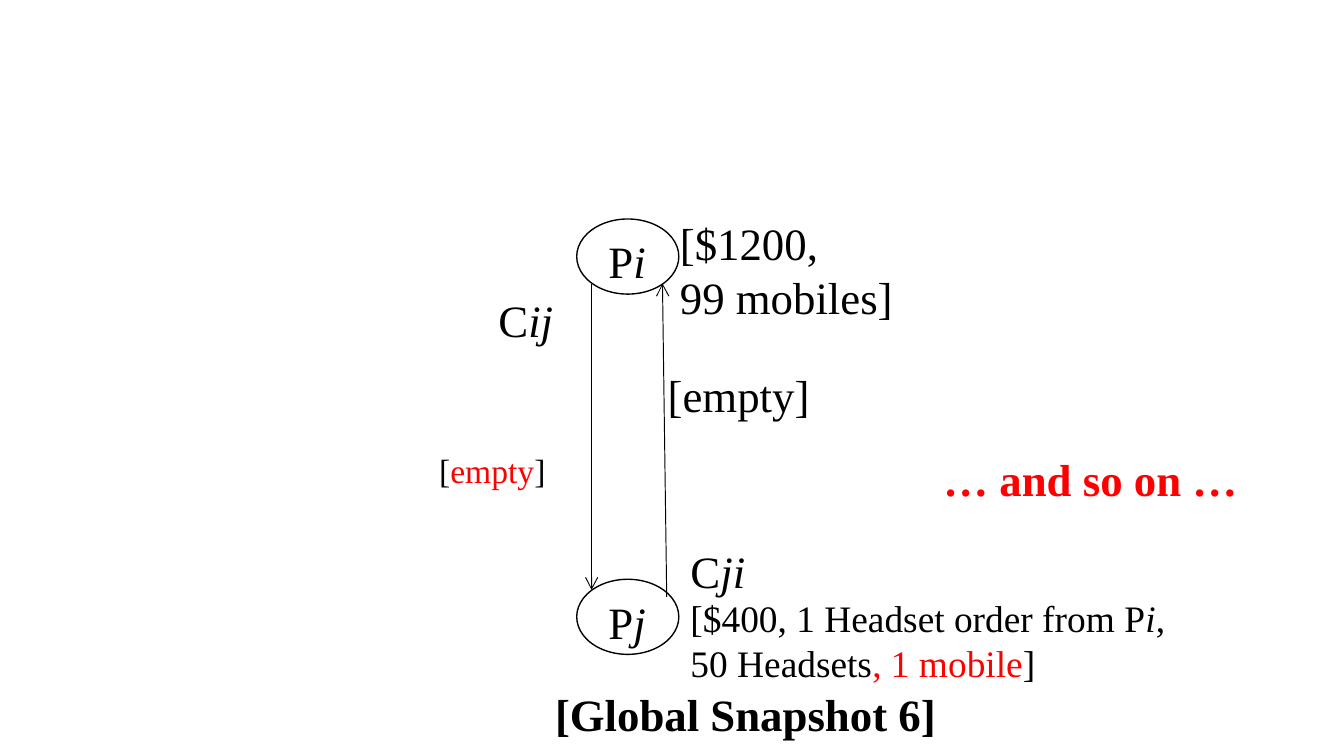
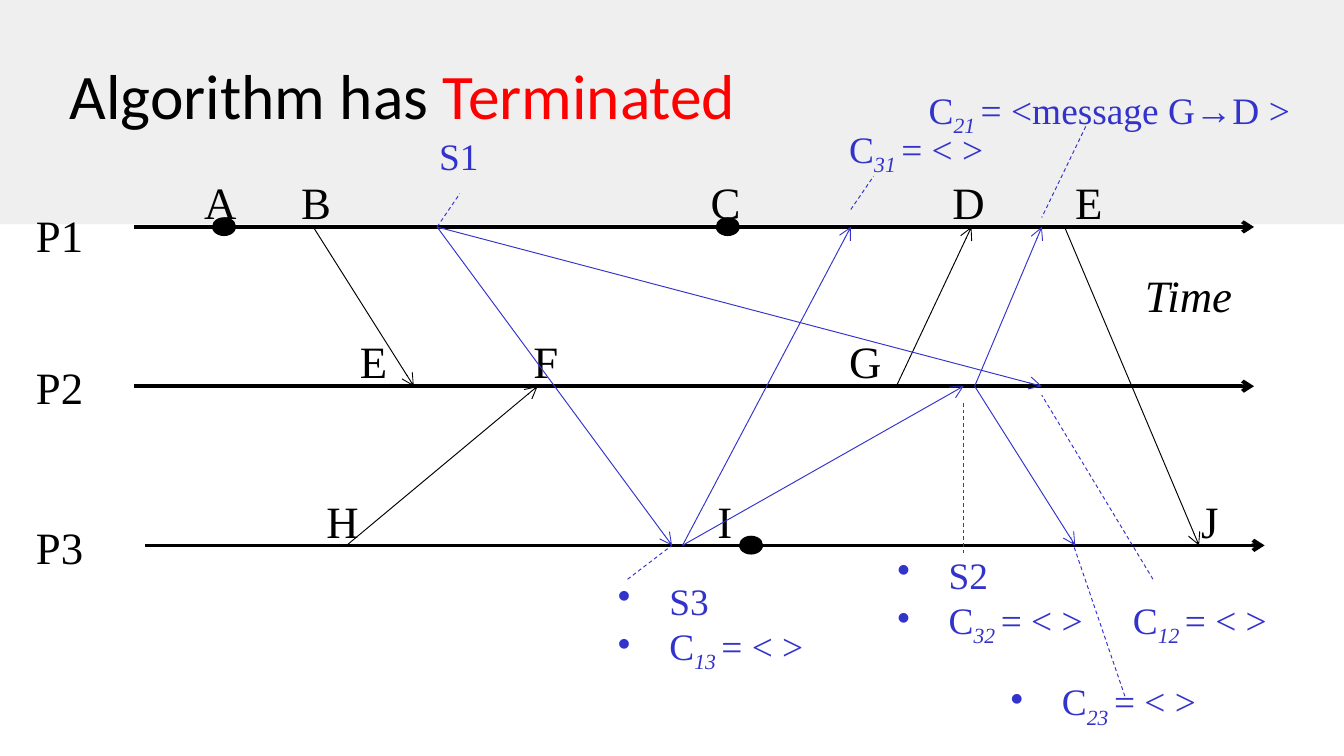
from lxml import etree
from pptx import Presentation
from pptx.dml.color import RGBColor
from pptx.enum.dml import MSO_LINE_DASH_STYLE as DASH
from pptx.enum.shapes import MSO_CONNECTOR as CONN, MSO_SHAPE as SHAPE
from pptx.enum.text import MSO_ANCHOR as ANCHOR
from pptx.oxml.ns import qn
from pptx.util import Cm, Pt

BLACK, RED, BLUE, BAND = "000000", "FF0000", "3333CC", "EFEFEF"
SERIF, SANS = "Times New Roman", "Calibri"


def rgb(color):
    return RGBColor.from_string(color)


def add_bullet(p, indent=0.97):
    pPr = p._p.get_or_add_pPr()
    pPr.set("marL", str(Cm(indent)))
    pPr.set("indent", str(-Cm(indent)))
    etree.SubElement(pPr, qn("a:buChar")).set("char", "•")


def add_text(s, x, y, w, h, *lines, size=24, color=BLACK, font=SERIF, bold=False,
             italic=False, bullet=False, anchor=ANCHOR.TOP):
    """Each line is a string or a list of strings and (string, format) pairs."""
    tf = s.shapes.add_textbox(Cm(x), Cm(y), Cm(w), Cm(h)).text_frame
    tf.word_wrap = True
    tf.vertical_anchor = anchor
    for i, line in enumerate(lines):
        p = tf.add_paragraph() if i else tf.paragraphs[0]
        if bullet:
            add_bullet(p)
        for part in [line] if isinstance(line, str) else line:
            text, fmt = (part, {}) if isinstance(part, str) else part
            r = p.add_run()
            r.text = text
            r.font.name = font
            r.font.size = Pt(size)
            r.font.bold = bold
            r.font.italic = fmt.get("italic", italic)
            r.font.color.rgb = rgb(fmt.get("color", color))
            if fmt.get("sub"):
                r._r.get_or_add_rPr().set("baseline", "-25000")


def add_shape(s, kind, x, y, w, h, fill=None, line=None):
    sp = s.shapes.add_shape(kind, Cm(x), Cm(y), Cm(w), Cm(h))
    sp.shadow.inherit = False
    if fill:
        sp.fill.solid()
        sp.fill.fore_color.rgb = rgb(fill)
    else:
        sp.fill.background()
    if line:
        sp.line.color.rgb = rgb(line)
        sp.line.width = Pt(0.75)
    else:
        sp.line.fill.background()


def add_line(s, x1, y1, x2, y2, color=BLACK, width=0.5, arrow=True):
    """An arrow, or a dashed pointer when arrow is False."""
    c = s.shapes.add_connector(CONN.STRAIGHT, Cm(x1), Cm(y1), Cm(x2), Cm(y2))
    c.line.color.rgb = rgb(color)
    c.line.width = Pt(width)
    if arrow:
        etree.SubElement(c.line._get_or_add_ln(), qn("a:tailEnd")).set("type", "arrow")
    else:
        c.line.dash_style = DASH.DASH
    etree.SubElement(c._element.spPr, qn("a:effectLst"))


def it(text):
    return text, {"italic": True}


def red(text):
    return text, {"color": RED}


def channel(index, content="< >"):
    return ["C", (index + " ", {"italic": True, "sub": True}), "= " + content]


def process_pair(s, x, y):
    """Two processes, the channels between them and their recorded states."""
    for name, top in (("i", 0.18), ("j", 6.99)):
        add_shape(s, SHAPE.OVAL, x + 2.9, y + top, 1.93, 1.42, line=BLACK)
        add_text(s, x + 3.25, y + top + 0.16, 1.6, 1.27, ["P", it(name)])
    add_line(s, x + 3.18, y + 1.4, x + 3.18, y + 7.19)
    add_line(s, x + 4.6, y + 7.32, x + 4.52, y + 1.4)

    add_text(s, x + 1.17, y + 1.45, 1.9, 1.27, ["C", it("ij")])
    add_text(s, x + 4.8, y + 6.2, 1.9, 1.27, ["C", it("ji")])
    add_text(s, x + 0.05, y + 4.42, 3, 1, ["[", red("empty"), "]"], size=18)
    add_text(s, x + 4.37, y + 2.87, 8.1, 1.27, "[empty]")
    add_text(s, x + 4.6, y, 5.2, 2.31, "[$1200,", "99 mobiles]")
    add_text(s, x + 4.8, y + 7.17, 10.2, 1.96,
             ["[$400, 1 Headset order from P", it("i"), ","],
             ["50 Headsets", red(", 1 mobile"), "]"], size=20)
    add_text(s, x + 2.24, y + 8.89, 8.2, 1.27, "[Global Snapshot 6]", bold=True)


def title_band(s, x, y, w, h):
    add_shape(s, SHAPE.RECTANGLE, x, y, w, h, fill=BAND)
    add_text(s, x + 1.07, y + 0.58, 19.96, 2.39,
             ["Algorithm has ", red("Terminated")],
             size=34, font=SANS, anchor=ANCHOR.MIDDLE)


LANE_GAP = 3.01
# lane start, offset of its name, events on it
LANES = [
    (0, -0.48, [("A", 1.07), ("B", 2.9), ("C", 10.64), ("D", 15.21), ("E", 17.53)]),
    (0, -0.62, [("E", 4.01), ("F", 7.29), ("G", 13.26)]),
    (0.2, -0.62, [("H", 3.38), ("I", 10.77), ("J", 19.91)]),
]
LOCAL_EVENTS = [(1.69, 0), (11.21, 0), (11.65, 2)]
# start x, start lane, end x, end lane
MESSAGES = [(17.58, 0, 20.12, 2), (4.01, 2, 7.62, 1), (3.38, 0, 5.28, 1),
            (14.4, 1, 15.82, 0)]
MARKERS = [(5.72, 0, 17.15, 1), (5.72, 0, 10.16, 2), (10.36, 2, 13.54, 0),
           (10.36, 2, 15.67, 1), (15.88, 1, 17.78, 2), (15.88, 1, 17.15, 0)]
POINTERS = [(5.72, 0, 6.15, -0.63), (9.32, 6.66, 10.16, 6.02),
            (13.54, -0.33, 13.97, -0.96), (15.67, 6.17, 15.67, 3.33),
            (19.25, 6.66, 17.15, 3.18), (17.98, -1.9, 17.15, -0.18),
            (18.72, 8.87, 17.7, 5.87)]
# x, y, bulleted, lines
RECORDS = [
    (5.51, -1.9, False, ["S1"]),
    (8.89, 6.51, True, ["S3", channel("13")]),
    (13.26, -2.03, False, [channel("31")]),
    (14.17, 6.02, True, ["S2", channel("32")]),
    (18.62, 6.87, False, [channel("12")]),
    (14.76, -2.77, False, [channel("21", "<message G→D >")]),
    (16.31, 8.41, True, [channel("23")]),
]


def timelines(s, x, y, w):
    """Process lanes with events and messages; y is the first lane."""
    for i, (start, name_dy, events) in enumerate(LANES):
        lane_y = y + i * LANE_GAP
        add_line(s, x + start, lane_y, x + start + w, lane_y, width=2)
        add_text(s, x - 2.11, lane_y + name_dy, 1.7, 1.27, f"P{i + 1}")
        for letter, dx in events:
            add_text(s, x + dx, lane_y - 1.11, 1.4, 1.27, letter)
    for dx, lane in LOCAL_EVENTS:
        add_shape(s, SHAPE.OVAL, x + dx - 0.21, y + lane * LANE_GAP - 0.17, 0.43, 0.33,
                  fill=BLACK, line=BLACK)
    for color, arrows in ((BLACK, MESSAGES), (BLUE, MARKERS)):
        for x1, lane1, x2, lane2 in arrows:
            add_line(s, x + x1, y + lane1 * LANE_GAP, x + x2, y + lane2 * LANE_GAP, color)
    add_text(s, x + 18.85, y + 0.64, 2.6, 1.27, "Time", italic=True)


def snapshot_records(s, x, y):
    for x1, y1, x2, y2 in POINTERS:
        add_line(s, x + x1, y + y1, x + x2, y + y2, BLUE, arrow=False)
    for dx, dy, bullet, lines in RECORDS:
        w = 7.6 if "message" in str(lines) else 4.2
        add_text(s, x + dx, y + dy, w, 0.25 + 0.85 * len(lines), *lines,
                 size=20, color=BLUE, bullet=bullet)


def main():
    prs = Presentation()
    prs.slide_width, prs.slide_height = Cm(25.4), Cm(14.29)
    blank = prs.slide_layouts[6]

    s = prs.slides.add_slide(blank)
    process_pair(s, 8, 3.96)
    add_text(s, 17.58, 8.41, 6.4, 1.3, "… and so on …", color=RED, bold=True)

    s = prs.slides.add_slide(blank)
    title_band(s, 0, 0, 25.4, 4.24)
    timelines(s, 2.54, 4.29, 21.16)
    snapshot_records(s, 2.54, 4.29)

    prs.save("out.pptx")


if __name__ == "__main__":
    main()
